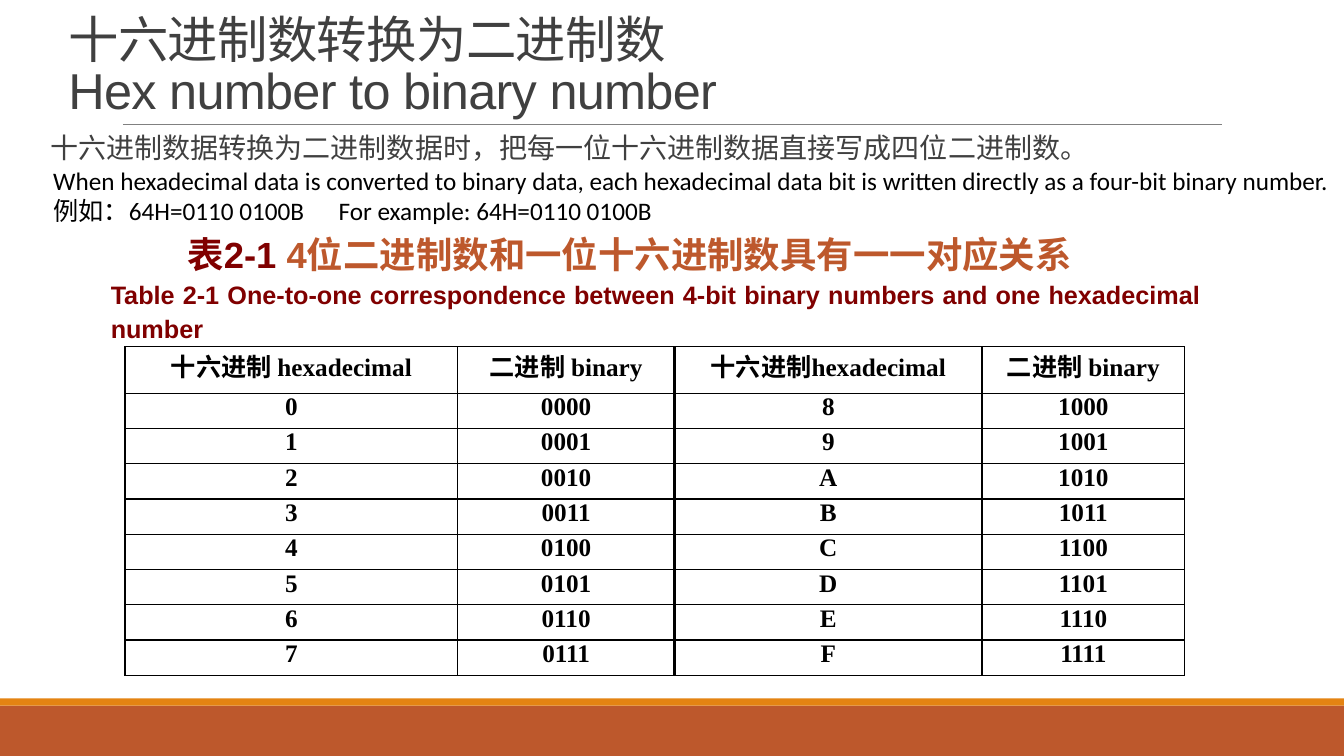
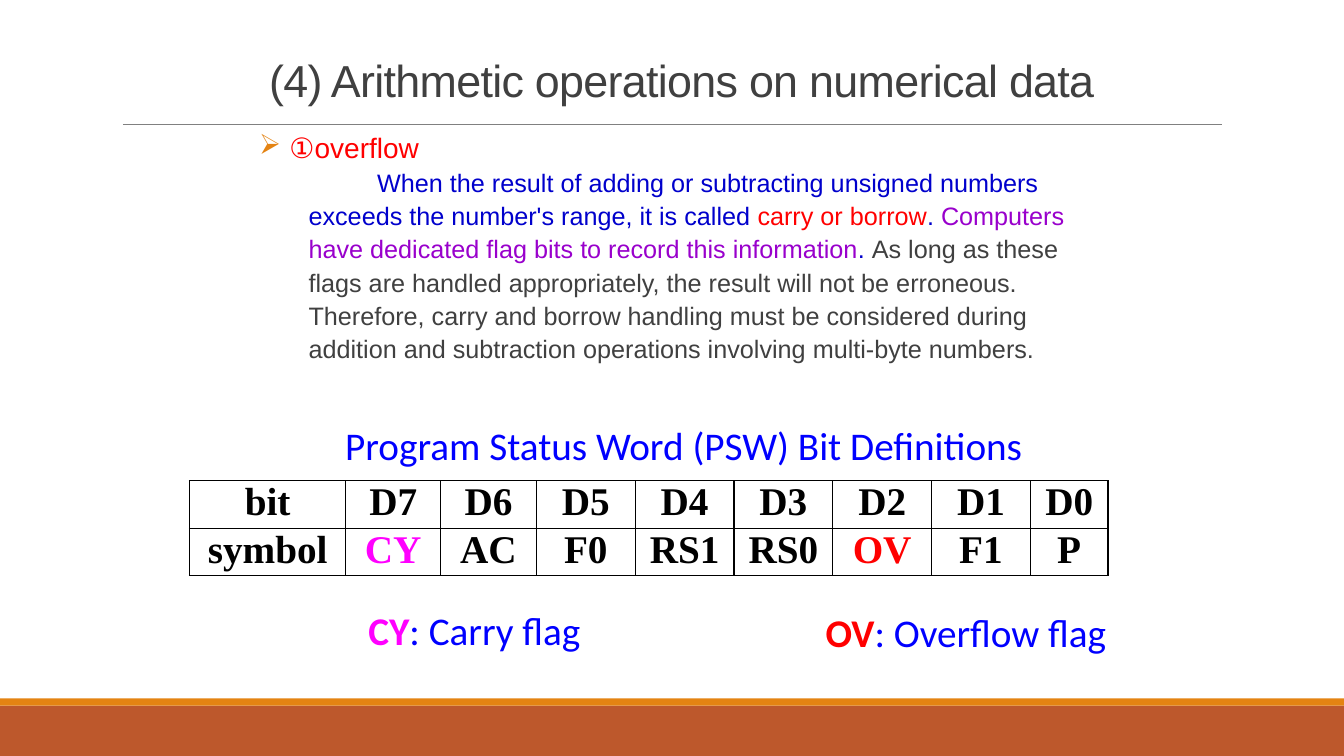
import lxml.etree
import pptx
import pptx.dml.color
import pptx.enum.shapes
import pptx.enum.text
import pptx.oxml.ns
import pptx.util

Inches = pptx.util.Inches
Pt = pptx.util.Pt
Align = pptx.enum.text.PP_ALIGN
Anchor = pptx.enum.text.MSO_ANCHOR
rgb = pptx.dml.color.RGBColor.from_string
qn = pptx.oxml.ns.qn

RUST, ORANGE, GREY, DARK = "BD582C", "E48312", "808080", "404040"
BLACK, WHITE, MAROON, RED = "000000", "FFFFFF", "800000", "FF0000"
BLUE, NAVY, PURPLE, MAGENTA = "0000FF", "0000CC", "9900CC", "FF00FF"


def add_text(slide, box, paragraphs, size, font="Calibri", bold=False,
             align=Align.LEFT, spacing=1.0, side_inset=0.1, wrap=True):
    """Add a text box; each paragraph is a list of (text, colour) pairs."""
    frame = slide.shapes.add_textbox(*map(Inches, box)).text_frame
    frame.word_wrap = wrap
    frame.margin_left = frame.margin_right = Inches(side_inset)
    for index, segments in enumerate(paragraphs):
        paragraph = frame.paragraphs[0] if index == 0 else frame.add_paragraph()
        paragraph.alignment = align
        paragraph.line_spacing = spacing
        for text, colour in segments:
            run = paragraph.add_run()
            run.text = text
            run.font.size = Pt(size)
            run.font.name = font
            run.font.bold = bold
            run.font.color.rgb = rgb(colour)
    return frame


def add_grid(slide, left, top, widths, heights, rows, size, accents={}, thick_column=None):
    """Add a ruled table; the line left of thick_column is doubled."""
    table = slide.shapes.add_table(
        len(rows), len(widths), Inches(left), Inches(top),
        Inches(sum(widths)), Inches(sum(heights))).table
    table.first_row = table.horz_banding = False
    for column, width in zip(table.columns, widths):
        column.width = Inches(width)
    for r, (texts, height) in enumerate(zip(rows, heights)):
        table.rows[r].height = Inches(height)
        for c, text in enumerate(texts):
            cell = table.cell(r, c)
            cell.margin_top = cell.margin_bottom = 0
            properties = cell._tc.get_or_add_tcPr()
            for side in "LRTB":
                thick = (side, c) in (("L", thick_column), ("R", (thick_column or 0) - 1))
                border = lxml.etree.SubElement(
                    properties, qn(f"a:ln{side}"), w=str(Pt(2 if thick else 1)))
                ink = lxml.etree.SubElement(border, qn("a:solidFill"))
                lxml.etree.SubElement(ink, qn("a:srgbClr"), val=BLACK)
            cell.fill.solid()
            cell.fill.fore_color.rgb = rgb(WHITE)
            paragraph = cell.text_frame.paragraphs[0]
            paragraph.text = text
            paragraph.alignment = Align.CENTER
            font = paragraph.runs[0].font
            font.size = Pt(size)
            font.name = "Times New Roman"
            font.bold = True
            font.color.rgb = rgb(accents.get(text, BLACK))


deck = pptx.Presentation()
deck.slide_width = Inches(13.33)
deck.slide_height = Inches(7.5)

# Bands, rule and title shared by both slides
titles = [
    ("十六进制数转换为二进制数\nHex number to binary number", (0.58, 0.69, 9.16, 0.55), 36),
    ("(4) Arithmetic operations on numerical data", (2.57, 0.56, 8.55, 0.55), 32),
]
for heading, box, size in titles:
    slide = deck.slides.add_slide(deck.slide_layouts[6])
    for top, height, colour in [(7, 0.5, RUST), (6.93, 0.07, ORANGE)]:
        band = slide.shapes.add_shape(
            pptx.enum.shapes.MSO_SHAPE.RECTANGLE,
            0, Inches(top), deck.slide_width, Inches(height))
        band.shadow.inherit = False
        band.fill.solid()
        band.fill.fore_color.rgb = rgb(colour)
        band.line.fill.background()
    rule = slide.shapes.add_connector(
        pptx.enum.shapes.MSO_CONNECTOR.STRAIGHT,
        Inches(1.22), Inches(1.23), Inches(12.12), Inches(1.23))
    rule.line.color.rgb = rgb(GREY)
    rule.line.width = Pt(0.5)
    lxml.etree.SubElement(rule._element.spPr, qn("a:effectLst"))

    title = slide.shapes.add_textbox(*map(Inches, box)).text_frame
    title.word_wrap = True
    title.vertical_anchor = Anchor.BOTTOM
    title.paragraphs[0].text = heading
    title.paragraphs[0].line_spacing = 0.85
    for run in title.paragraphs[0].runs:
        run.font.size = Pt(size)
        run.font.name = "Arial"
        run.font.color.rgb = rgb(DARK)
        run._r.get_or_add_rPr().set("spc", "-50")

conversion, arithmetic = deck.slides

# Hex to binary conversion
add_text(conversion, (0.5, 1.25, 12.83, 0.87),
         [[("十六进制数据转换为二进制数据时，把每一位十六进制数据直接写成四位二进制数。", DARK)]],
         20, side_inset=0)
add_text(conversion, (1.76, 2.19, 9.26, 0.59),
         [[("表2-1 ", MAROON), ("4位二进制数和一位十六进制数具有一一对应关系", RUST)]],
         26, "Arial", bold=True, align=Align.JUSTIFY, spacing=1.14)

hex_rows = [["十六进制 hexadecimal", "二进制 binary", "十六进制hexadecimal", "二进制 binary"]]
for n in range(8):
    hex_rows.append([f"{n:X}", f"{n:04b}", f"{n + 8:X}", f"{n + 8:04b}"])
add_grid(conversion, 1.24, 3.44, [3.3, 2.15, 3.05, 2.01], [0.46] + [0.35] * 8,
         hex_rows, 18, thick_column=2)

explanation = add_text(
    conversion, (0.43, 1.59, 12.9, 0.71),
    [[("When hexadecimal data is converted to binary data, each hexadecimal data bit "
       "is written directly as a four-bit binary number.", BLACK)],
     [("例如：64H=0110 0100B\tFor example: 64H=0110 0100B", BLACK)]], 18)
tabs = lxml.etree.SubElement(explanation.paragraphs[1]._p.get_or_add_pPr(), qn("a:tabLst"))
lxml.etree.SubElement(tabs, qn("a:tab"), pos=str(Inches(2.83)), algn="l")

add_text(conversion, (1, 2.68, 11.01, 0.71),
         [[("Table 2-1 One-to-one correspondence between 4-bit binary numbers "
            "and one hexadecimal number", MAROON)]],
         18, "Arial", bold=True, align=Align.JUSTIFY, spacing=1.14)

# Arithmetic operations and status flags
overflow = add_text(
    arithmetic, (2.57, 1.28, 8.15, 2.68),
    [[("①overflow", RED)],
     [("When the result of adding or subtracting unsigned numbers exceeds the number's "
       "range, it is called ", NAVY),
      ("carry or borrow", RED),
      (". ", NAVY),
      ("Computers have dedicated flag bits to record this information", PURPLE),
      (". ", NAVY),
      ("As long as these flags are handled appropriately, the result will not be erroneous. "
       "Therefore, carry and borrow handling must be considered during addition and "
       "subtraction operations involving multi-byte numbers.", DARK)]],
    18, "Arial", side_inset=0)
topic, detail = overflow.paragraphs
topic.runs[0].font.size = Pt(20)
for paragraph, margin, indent, spacing in [(topic, 0.3, -0.3, 0.9), (detail, 0.49, 0.68, 1.1)]:
    paragraph.line_spacing = spacing
    properties = paragraph._p.get_or_add_pPr()
    properties.set("marL", str(Inches(margin)))
    properties.set("indent", str(Inches(indent)))
topic_properties = topic._p.get_or_add_pPr()
bullet_colour = lxml.etree.SubElement(topic_properties, qn("a:buClr"))
lxml.etree.SubElement(bullet_colour, qn("a:srgbClr"), val=ORANGE)
lxml.etree.SubElement(topic_properties, qn("a:buChar"), char="➢")

psw_rows = [
    ["bit"] + [f"D{n}" for n in range(7, -1, -1)],
    ["symbol", "CY", "AC", "F0", "RS1", "RS0", "OV", "F1", "P"],
]
add_grid(arithmetic, 1.88, 4.77, [1.55, 0.94, 0.95] + [0.98] * 5 + [0.77], [0.47] * 2,
         psw_rows, 28, accents={"CY": MAGENTA, "OV": RED})

add_text(arithmetic, (3.29, 4.22, 6.98, 0.48),
         [[("Program Status Word (PSW) Bit Definitions", BLUE)]],
         28, align=Align.CENTER, spacing=0.8, wrap=False)
for box, flag, colour, meaning in [
    ((3.55, 6.06, 2.31, 0.48), "CY", MAGENTA, ": Carry flag"),
    ((8.08, 6.08, 3, 0.48), "OV", RED, ": Overflow flag"),
]:
    legend = add_text(arithmetic, box, [[(flag, colour), (meaning, BLUE)]],
                      28, align=Align.CENTER, spacing=0.8, wrap=False)
    legend.paragraphs[0].runs[0].font.bold = True

deck.save("out.pptx")
